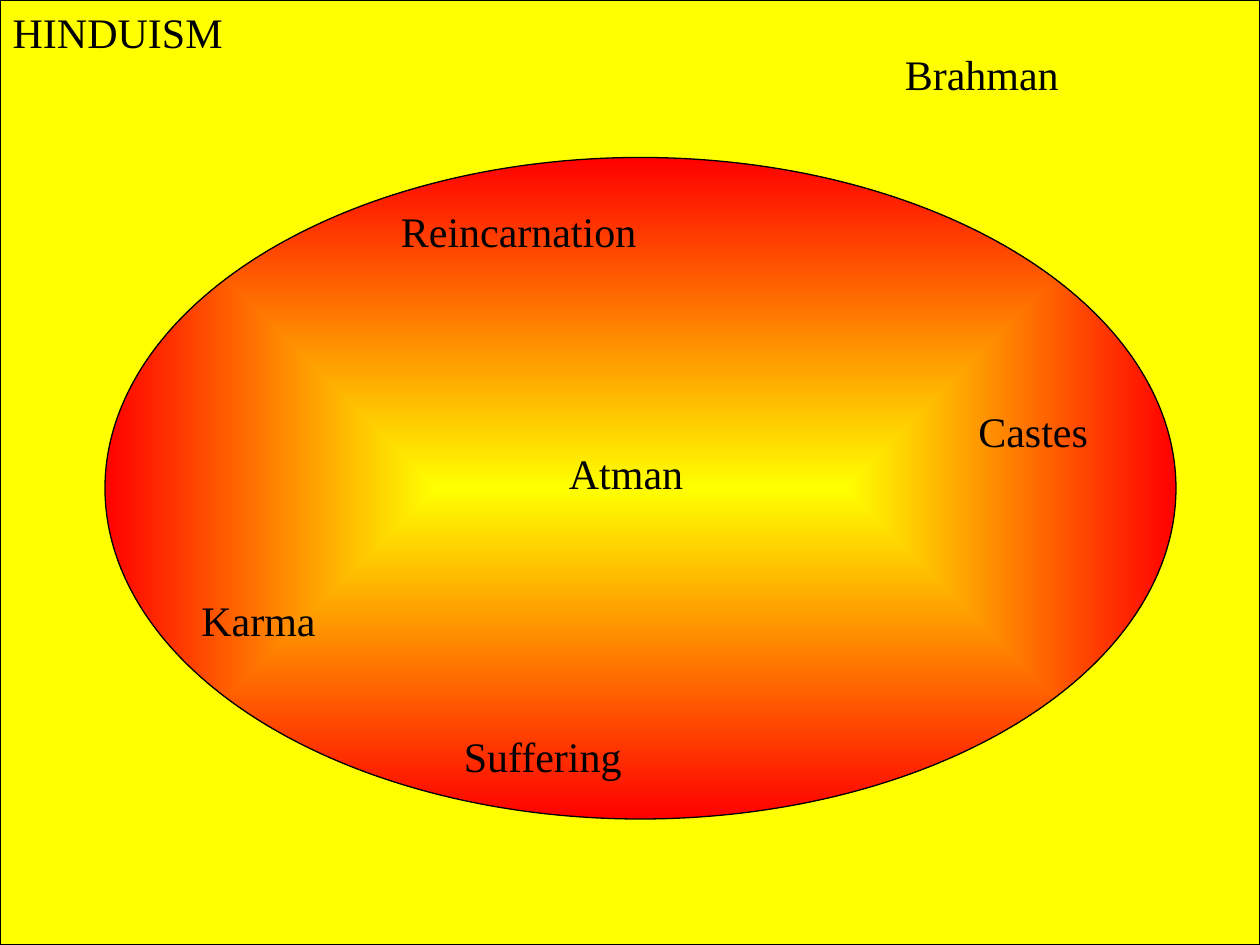
from typing import NamedTuple

from lxml.etree import SubElement
from pptx import Presentation
from pptx.dml.color import RGBColor
from pptx.enum.shapes import MSO_SHAPE as Preset
from pptx.enum.text import MSO_ANCHOR as Anchor, MSO_AUTO_SIZE as AutoSize, PP_ALIGN as Align
from pptx.oxml.ns import qn
from pptx.util import Inches, Pt

COLUMNS, ROWS = 120, 90
CELL = Inches(10) // COLUMNS
LABEL_ROWS = 6
TITLE_ONLY = 5
YELLOW, RED, BLACK = "FFFF00", "FF0000", "000000"


class Area(NamedTuple):
    column: int
    row: int
    columns: int
    rows: int = LABEL_ROWS


class Concept(NamedTuple):
    word: str
    area: Area


CONCEPTS = [
    Concept("Atman", Area(53, 42, 21)),
    Concept("Brahman", Area(85, 4, 35)),
    Concept("Reincarnation", Area(37, 19, 45)),
    Concept("Castes", Area(92, 38, 16)),
    Concept("Suffering", Area(43, 69, 41)),
    Concept("Karma", Area(18, 56, 25)),
]


def color(hex_value: str) -> RGBColor:
    return RGBColor.from_string(hex_value)


def place(area: Area) -> list[int]:
    return [cells * CELL for cells in area]


def add_outlined(slide, preset: Preset, area: Area):
    outlined = slide.shapes.add_shape(preset, *place(area))
    outlined.shadow.inherit = False
    outlined.line.color.rgb = color(BLACK)
    outlined.line.width = Pt(0.75)
    return outlined


def fill_from_center(shape, inner: str, outer: str) -> None:
    shape.fill.gradient()
    for stop, hex_value, position in zip(shape.fill.gradient_stops, (inner, outer), (0, 1)):
        stop.color.rgb = color(hex_value)
        stop.position = position
    gradient = shape.element.spPr.find(qn("a:gradFill"))
    gradient.remove(gradient.find(qn("a:lin")))
    center = SubElement(gradient, qn("a:path"), path="rect")
    SubElement(center, qn("a:fillToRect"), l="50000", t="50000", r="50000", b="50000")


def write(box, word: str) -> None:
    frame = box.text_frame
    frame.text = word
    frame.word_wrap = True
    frame.auto_size = AutoSize.SHAPE_TO_FIT_TEXT
    frame.vertical_anchor = Anchor.TOP
    paragraph = frame.paragraphs[0]
    paragraph.alignment = Align.LEFT
    paragraph.font.name = "Times New Roman"
    paragraph.font.size = Pt(24)
    paragraph.font.color.rgb = color(BLACK)


def main() -> None:
    deck = Presentation()
    deck.slide_width, deck.slide_height = COLUMNS * CELL, ROWS * CELL
    slide = deck.slides.add_slide(deck.slide_layouts[TITLE_ONLY])

    universe = add_outlined(slide, Preset.RECTANGLE, Area(0, 0, COLUMNS, ROWS))
    universe.fill.solid()
    universe.fill.fore_color.rgb = color(YELLOW)
    soul = add_outlined(slide, Preset.OVAL, Area(10, 15, 102, 63))
    fill_from_center(soul, YELLOW, RED)

    religion = slide.shapes.title
    religion.left, religion.top, religion.width, religion.height = place(Area(0, 0, 44))
    write(religion, "HINDUISM")
    soul.element.addnext(religion.element)

    for concept in CONCEPTS:
        write(slide.shapes.add_textbox(*place(concept.area)), concept.word)

    deck.save("out.pptx")


if __name__ == "__main__":
    main()
